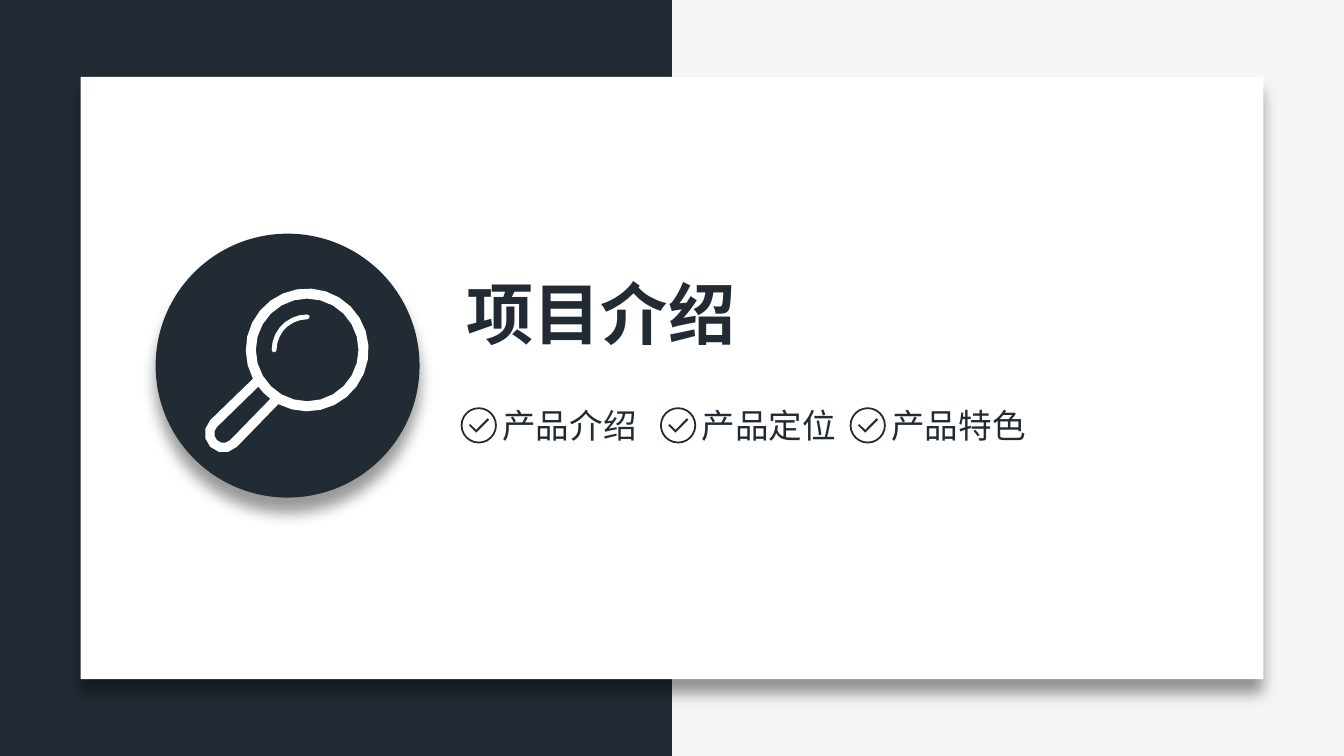
from math import cos, radians, sin

from lxml import etree
from pptx import Presentation
from pptx.dml.color import RGBColor
from pptx.enum.shapes import MSO_SHAPE
from pptx.enum.text import MSO_ANCHOR, MSO_AUTO_SIZE, PP_ALIGN
from pptx.oxml.ns import qn
from pptx.util import Pt

RECT, OVAL, DONUT = MSO_SHAPE.RECTANGLE, MSO_SHAPE.OVAL, MSO_SHAPE.DONUT
TOP, LEFT, GROW = MSO_ANCHOR.TOP, PP_ALIGN.LEFT, MSO_AUTO_SIZE.SHAPE_TO_FIT_TEXT

DARK = RGBColor(0x22, 0x2B, 0x34)
PALE = RGBColor(0xF6, 0xF4, 0xF7)
WHITE = RGBColor(0xFF, 0xFF, 0xFF)
FONT = "Noto Sans CJK SC"
WIDTH, HEIGHT = 720, 405


def paint(sp, color):
    sp.fill.solid()
    sp.fill.fore_color.rgb = color
    sp.line.fill.background()
    sp.shadow.inherit = False


def add_block(shapes, kind, box, color):
    sp = shapes.add_shape(kind, *map(Pt, box))
    paint(sp, color)
    return sp


def drop_shadow(sp):
    """Cast a soft black shadow straight down."""
    effects = sp.element.spPr.find(qn("a:effectLst"))
    shadow = etree.SubElement(effects, qn("a:outerShdw"), blurRad=str(Pt(8)),
                              dist=str(Pt(8)), dir="5400000", algn="t", rotWithShape="0")
    color = etree.SubElement(shadow, qn("a:srgbClr"), val="000000")
    etree.SubElement(color, qn("a:alpha"), val="40000")


def write(sp, text, size, bold=False, color=DARK):
    tf = sp.text_frame
    tf.word_wrap = False
    tf.auto_size = GROW
    tf.vertical_anchor = TOP
    tf.margin_left = tf.margin_right = Pt(7.2)
    tf.margin_top = tf.margin_bottom = Pt(3.6)
    p = tf.paragraphs[0]
    p.alignment = LEFT
    p.line_spacing = 1.0
    p.space_before = Pt(0)
    r = p.add_run()
    r.text = text
    r.font.size, r.font.bold, r.font.name = Pt(size), bold, FONT
    r.font.color.rgb = color
    etree.SubElement(r.font._element, qn("a:ea"), typeface=FONT)


def arc(cx, cy, radius, start, end, steps):
    """Points along an arc; degrees run clockwise from the right."""
    angles = [radians(start + (end - start) * i / steps) for i in range(steps + 1)]
    return [(cx + radius * cos(a), cy + radius * sin(a)) for a in angles]


def add_outline(shapes, left, top, contours, color):
    """Fill closed contours, given relative to left and top, as one freeform."""
    contours = [[(Pt(left + x), Pt(top + y)) for x, y in c] for c in contours]
    builder = shapes.build_freeform(*contours[0][0])
    for i, contour in enumerate(contours):
        if i:
            builder.move_to(*contour[0])
        builder.add_line_segments(contour[1:], close=True)
    paint(builder.convert_to_shape(), color)


def add_magnifier(shapes, left, top):
    icon = shapes.add_group_shape().shapes
    lens, grip = (54.9, 32.8), (10.1, 77.6)
    rim = arc(*lens, 32.9, 152, 478, 24) + arc(*grip, 10.1, 45, 225, 6)
    glass = arc(*lens, 27.5, 0, 345, 23)
    slot = arc(*lens, 32.8, 127, 143, 2) + arc(*grip, 5, 225, 45, 6)
    add_outline(icon, left, top, [rim, glass, slot], WHITE)

    x, y = lens
    glint = (arc(x, y, 19, 180, 270, 7) + arc(x, y - 17.7, 1.3, 270, 450, 3)
             + arc(x, y, 16.4, 270, 180, 7) + arc(x - 17.7, y, 1.3, 0, 180, 3))
    add_outline(icon, left, top, [glint], WHITE)


def add_check_item(shapes, left, top, text):
    icon = shapes.add_group_shape().shapes
    ring = add_block(icon, DONUT, (left, top, 19.4, 19.4), DARK)
    ring.adjustments[0] = 0.05
    tick = [(4.4, 9.7), (5.1, 9), (8.3, 12.1), (14.4, 5.9), (15.2, 6.7), (8.3, 13.6)]
    add_outline(icon, left, top, [tick], DARK)
    label = shapes.add_textbox(Pt(left + 15.2), Pt(top - 5), Pt(86.4), Pt(29))
    write(label, text, 18)


def add_backdrop(s):
    s.background.fill.solid()
    s.background.fill.fore_color.rgb = PALE
    add_block(s.shapes, RECT, (0, 0, WIDTH / 2, HEIGHT), DARK)


def add_section_card(s, left, top, width, height, title, items):
    card = add_block(s.shapes, RECT, (left, top, width, height), WHITE)
    drop_shadow(card)
    badge = add_block(s.shapes, OVAL, (left + 40.2, top + 84, 141.4, 141.4), DARK)
    drop_shadow(badge)
    add_magnifier(s.shapes, left + 66.5, top + 113.5)

    heading = s.shapes.title
    badge.element.addnext(heading.element)
    heading.left, heading.top = Pt(left + 199.5), Pt(top + 101.2)
    heading.width, heading.height = Pt(162), Pt(51)
    write(heading, title, 36, bold=True)

    for offset, text in items:
        add_check_item(s.shapes, left + offset, top + 177, text)


def main():
    prs = Presentation()
    prs.slide_width, prs.slide_height = Pt(WIDTH), Pt(HEIGHT)
    s = prs.slides.add_slide(prs.slide_layouts[5])
    add_backdrop(s)
    add_section_card(s, 43.2, 41.2, WIDTH - 2 * 43.2, HEIGHT - 2 * 41.2, "项目介绍",
                     [(203.6, "产品介绍"), (310.4, "产品定位"), (412, "产品特色")])
    prs.save("out.pptx")


if __name__ == "__main__":
    main()
